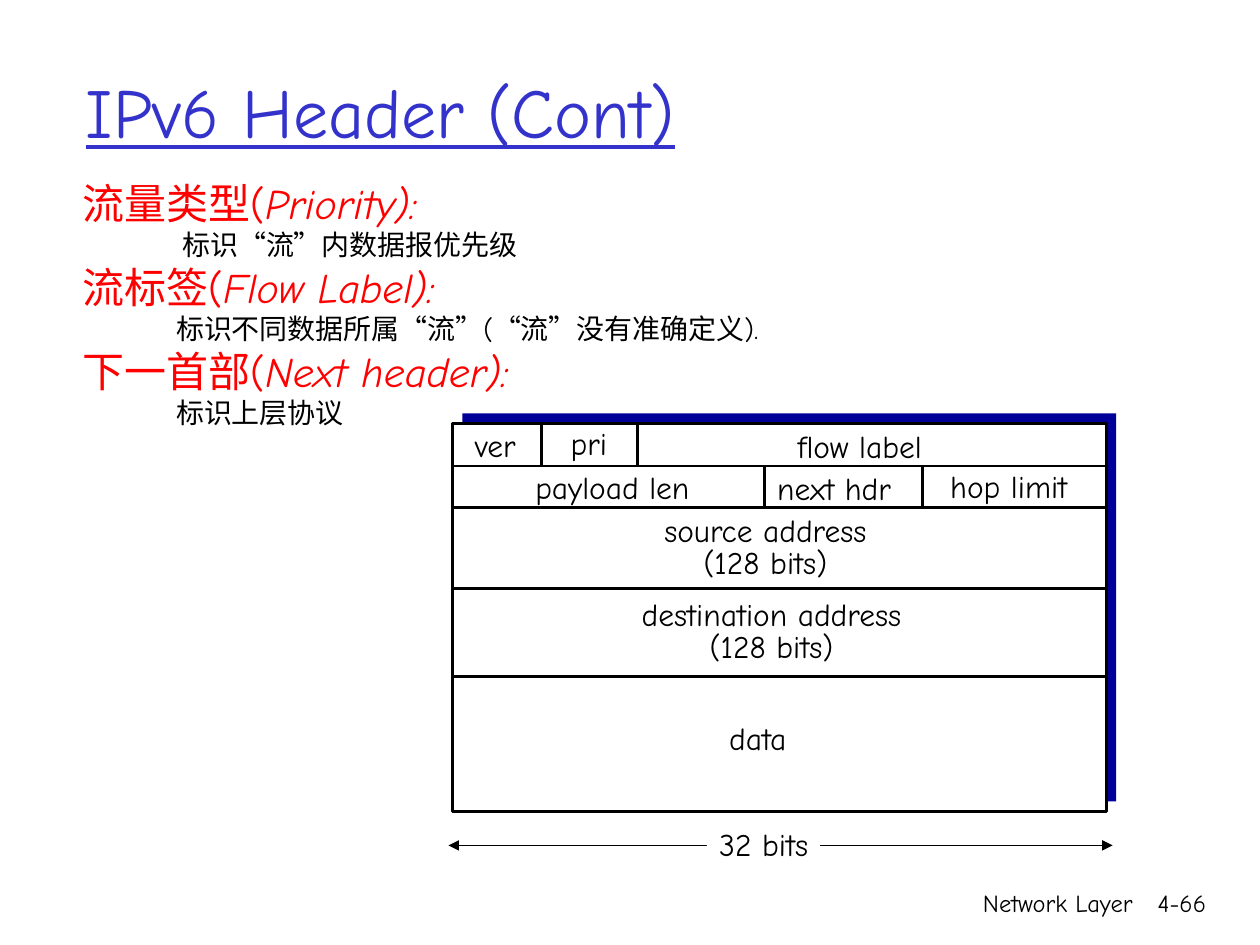
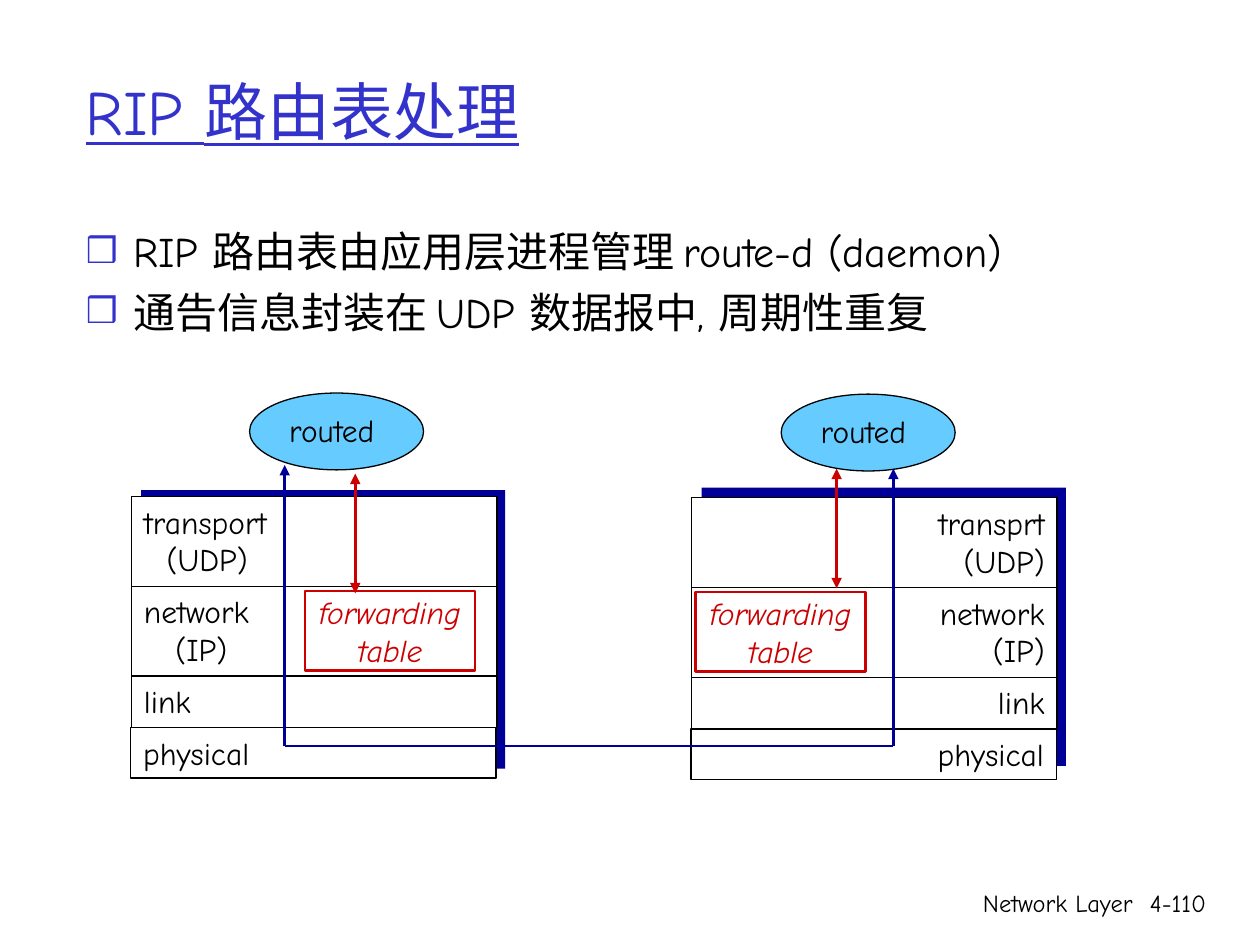
from dataclasses import dataclass

from lxml import etree
from pptx import Presentation
from pptx.dml.color import RGBColor
from pptx.enum.shapes import MSO_CONNECTOR, MSO_SHAPE
from pptx.enum.text import MSO_ANCHOR, MSO_AUTO_SIZE, PP_ALIGN
from pptx.oxml.ns import qn
from pptx.util import Pt

RECT, OVAL = MSO_SHAPE.RECTANGLE, MSO_SHAPE.OVAL
STRAIGHT = MSO_CONNECTOR.STRAIGHT
LEFT, CENTER, RIGHT = PP_ALIGN.LEFT, PP_ALIGN.CENTER, PP_ALIGN.RIGHT
TOP, MIDDLE = MSO_ANCHOR.TOP, MSO_ANCHOR.MIDDLE
NO_AUTOFIT = MSO_AUTO_SIZE.NONE


@dataclass(frozen=True)
class Theme:
    font: str = "Comic Neue"
    black: RGBColor = RGBColor(0, 0, 0)
    white: RGBColor = RGBColor(255, 255, 255)
    accent: RGBColor = RGBColor(0x33, 0x33, 0xCC)
    navy: RGBColor = RGBColor(0, 0, 0x99)
    sky: RGBColor = RGBColor(0x66, 0xCC, 0xFF)
    term: RGBColor = RGBColor(255, 0, 0)
    red: RGBColor = RGBColor(0xCC, 0, 0)
    list_size: int = 24
    label_size: int = 18
    note_size: int = 16
    footer_size: int = 14
    thin: float = 0.75
    thick: float = 1.5


theme = Theme()


def add_box(page, kind, frame, text="", fill=None, line=None, weight=theme.thin,
            color=theme.black, size=theme.label_size, align=LEFT, anchor=TOP,
            wrap=False, italic=False, spacing=None):
    place = [Pt(value) for value in frame]
    if kind is None:
        box = page.shapes.add_textbox(*place)
    else:
        box = page.shapes.add_shape(kind, *place)
        box.shadow.inherit = False
        if fill is None:
            box.fill.background()
        else:
            box.fill.solid()
            box.fill.fore_color.rgb = fill
        if line is None:
            box.line.fill.background()
        else:
            box.line.color.rgb = line
            box.line.width = Pt(weight)
    if text:
        box.text_frame.text = text
        box.text_frame.word_wrap = wrap
        box.text_frame.vertical_anchor = anchor
        for para in box.text_frame.paragraphs:
            para.alignment = align
            if spacing:
                para.line_spacing = spacing
            for span in para.runs:
                span.font.name = theme.font
                span.font.size = Pt(size)
                span.font.color.rgb = color
                span.font.italic = italic
    return box


def add_line(page, start, finish, color, weight=theme.thick, ends=()):
    points = [Pt(value) for value in (*start, *finish)]
    connector = page.shapes.add_connector(STRAIGHT, *points)
    connector.line.color.rgb = color
    connector.line.width = Pt(weight)
    outline = connector._element.spPr.find(qn("a:ln"))
    for end in ends:
        etree.SubElement(outline, qn(f"a:{end}")).set("type", "triangle")
    etree.SubElement(connector._element.spPr, qn("a:effectLst"))


deck = Presentation()
deck.slide_width, deck.slide_height = Pt(720), Pt(540)

pages = []
for title, title_size, number, body_frame in (
    ("IPv6 Header (Cont)", 40, "4-66", (40, 97.8, 651.6, 151.2)),
    ("RIP 路由表处理", 36, "4-110", (41.8, 125.3, 612, 365.8)),
):
    page = deck.slides.add_slide(deck.slide_layouts[1])
    heading, body = page.placeholders
    for holder, frame in ((heading, (41.8, 18, 612, 90)), (body, body_frame)):
        holder.left, holder.top, holder.width, holder.height = map(Pt, frame)
        holder.text_frame.auto_size = NO_AUTOFIT
    heading.text_frame.text = title
    heading.text_frame.vertical_anchor = MIDDLE
    para = heading.text_frame.paragraphs[0]
    para.alignment = LEFT
    span = para.runs[0]
    span.font.name = theme.font
    span.font.size = Pt(title_size)
    span.font.color.rgb = theme.accent
    span.font.underline = True
    for frame, text in (((426.2, 504, 228.2, 36), "Network Layer"),
                        ((643, 504, 53.3, 36), number)):
        add_box(page, None, frame, text, size=theme.footer_size, align=RIGHT, wrap=True)
    pages.append((page, body.text_frame))

header_page, terms = pages[0]
rows = (
    ("流量类型(", "Priority):", 0, theme.list_size, theme.term),
    ("标识“流”内数据报优先级", "", 57, theme.note_size, theme.black),
    ("流标签(", "Flow Label):", 0, theme.list_size, theme.term),
    ("标识不同数据所属“流”(“流”没有准确定义).", "", 53.5, theme.note_size, theme.black),
    ("下一首部(", "Next header):", 0, theme.list_size, theme.term),
    ("标识上层协议", "", 53.5, theme.note_size, theme.black),
)
terms.text = "\n".join(row[0] for row in rows)
for para, (_, english, indent, size, color) in zip(terms.paragraphs, rows):
    props = para._p.get_or_add_pPr()
    props.set("marL", str(Pt(indent)))
    props.set("indent", "0")
    etree.SubElement(props, qn("a:buNone"))
    para.space_before = Pt(0)
    if english:
        span = para.add_run()
        span.text = english
        span.font.italic = True
    for span in para.runs:
        span.font.name = theme.font
        span.font.size = Pt(size)
        span.font.color.rgb = color

add_box(header_page, RECT, (264.2, 236.2, 373.7, 221.8), fill=theme.navy)
add_box(header_page, RECT, (258.5, 242, 373.7, 221.8), fill=theme.white,
        line=theme.black, weight=theme.thick)
for y in (266.4, 290, 336.2, 386.6):
    add_line(header_page, (258.5, y), (632, y), theme.black)
for x, top, bottom in ((309.6, 243, 266.4), (364.3, 243, 266.4),
                       (437, 266.4, 290), (527, 266.4, 290)):
    add_line(header_page, (x, top), (x, bottom), theme.black)
for text, center, top in (
    ("ver", 283, 239.8),
    ("pri", 336.5, 239),
    ("flow label", 491.3, 240.5),
    ("payload len", 349.9, 263.9),
    ("next hdr", 476.6, 264.4),
    ("hop limit", 576.4, 263.5),
    ("data", 433, 407.5),
):
    add_box(header_page, None, (center - 70, top, 140, 28.8), text, align=CENTER)
for text, center, top in (
    ("source address", 437.4, 291.6),
    ("destination address", 440.9, 339.5),
):
    add_box(header_page, None, (center - 100, top, 200, 43.9), f"{text}\n(128 bits)",
            align=CENTER, spacing=0.85)
add_line(header_page, (256.3, 483.1), (635.8, 483.1), theme.black, theme.thin,
         ("headEnd", "tailEnd"))
add_box(header_page, RECT, (403.9, 468, 64.8, 28.8), "32 bits", fill=theme.white)

rip_page, points = pages[1]
points.text = "RIP 路由表由应用层进程管理 route-d (daemon)\n通告信息封装在 UDP 数据报中, 周期性重复"
for index, para in enumerate(points.paragraphs):
    props = para._p.get_or_add_pPr()
    props.set("marL", str(Pt(27)))
    props.set("indent", str(Pt(-27)))
    bullet_color = etree.SubElement(props, qn("a:buClr"))
    etree.SubElement(bullet_color, qn("a:srgbClr")).set("val", str(theme.accent))
    etree.SubElement(props, qn("a:buSzPct")).set("val", "85000")
    etree.SubElement(props, qn("a:buChar")).set("char", "❒")
    para.space_before = Pt(6 if index else 0)
    for span in para.runs:
        span.font.name = theme.font
        span.font.size = Pt(theme.list_size)
        span.font.color.rgb = theme.black

hosts = (
    (75.2, 283.7, LEFT, "transport", (80.6, 280.1), (142.6, 224.6),
     (174.2, 337.7), (162.7, 265.7), (203, 270.7)),
    (395.3, 284.4, RIGHT, "transprt", (401, 278.6), (446.4, 225.2),
     (397.4, 338.4), (510.5, 267.8), (478.1, 267.8)),
)
for left, top, align, transport, shadow, process, table, route, access in hosts:
    add_box(rip_page, RECT, (*shadow, 208.1, 159.1), fill=theme.navy)
    for text, shift, drop, height, indent in (
        ("physical", -0.5, 132.2, 28.8, 0),
        ("link", 0, 102.6, 29.6, 0),
        ("network\n(IP)", 0, 51.3, 51.3, 18),
        (f"{transport}\n(UDP)", 0, 0, 51.3, 13),
    ):
        layer = add_box(rip_page, RECT, (left + shift, top + drop, 208.8, height), text,
                        fill=theme.white, line=theme.black, align=align, wrap=True)
        if align == LEFT and indent:
            props = layer.text_frame.paragraphs[1]._p.get_or_add_pPr()
            props.set("marL", str(Pt(indent)))
    add_box(rip_page, OVAL, (*process, 99.4, 43.9), fill=theme.sky, line=theme.black)
    add_box(rip_page, None, (process[0] + 7, process[1] + 6.5, 80, 28.8), "routed",
            align=CENTER)
    add_box(rip_page, RECT, (*table, 97.2, 45.4), "forwarding\ntable", fill=theme.white,
            line=theme.red, weight=theme.thick, color=theme.red, align=CENTER,
            anchor=MIDDLE, italic=True)
    add_line(rip_page, (route[0], 426.2), route, theme.navy, ends=("tailEnd",))
    add_line(rip_page, access, (access[0], access[1] + 68.4), theme.red,
             ends=("headEnd", "tailEnd"))
add_line(rip_page, (162.7, 426.2), (510.5, 426.2), theme.navy)

deck.save("out.pptx")
